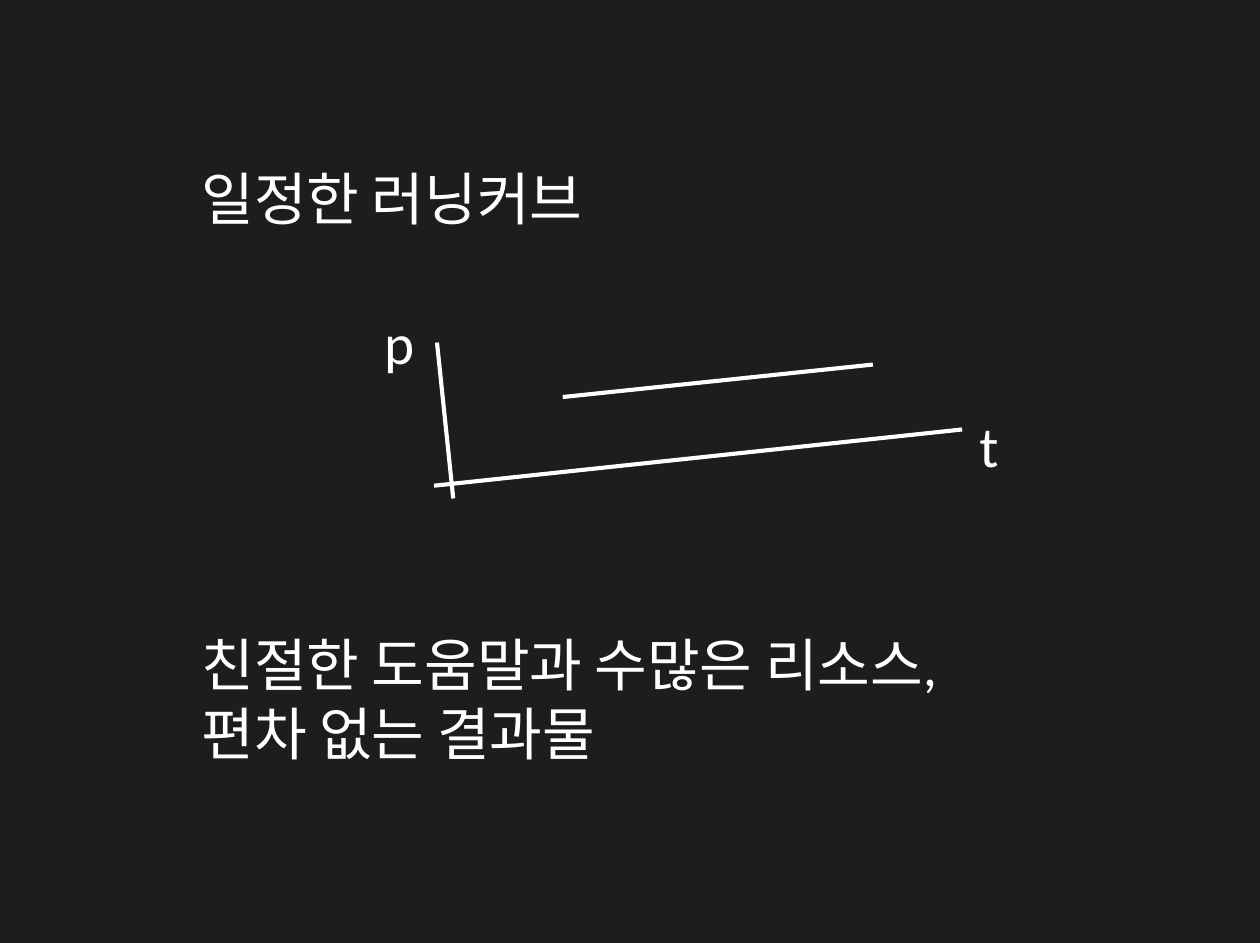
import pptx
import pptx.dml.color
import pptx.enum.shapes
import pptx.enum.text
import pptx.oxml.ns
import pptx.util
import lxml.etree

Cm = pptx.util.Cm
WIDTH, HEIGHT = 21.74, 16.27
INK, PAPER = "FFFFFF", "1C1D1F"
FONT = "Calibri"


def color(value):
    return pptx.dml.color.RGBColor.from_string(value)


def add_background(s, x, y, w, h):
    sp = s.shapes.add_shape(pptx.enum.shapes.MSO_SHAPE.RECTANGLE, Cm(x), Cm(y), Cm(w), Cm(h))
    sp.shadow.inherit = False
    sp.fill.solid()
    sp.fill.fore_color.rgb = color(PAPER)
    sp.line.fill.background()


def add_text(s, x, y, w, h, text):
    tf = s.shapes.add_textbox(Cm(x), Cm(y), Cm(w), Cm(h)).text_frame
    tf.word_wrap = True
    tf.vertical_anchor = pptx.enum.text.MSO_ANCHOR.MIDDLE
    tf.text = text
    for p in tf.paragraphs:
        for r in p.runs:
            r.font.name = FONT
            r.font.size = pptx.util.Pt(28)
            r.font.color.rgb = color(INK)
            east_asian = lxml.etree.SubElement(r._r.get_or_add_rPr(), pptx.oxml.ns.qn("a:ea"))
            east_asian.set("typeface", FONT)


def add_line(s, x1, y1, x2, y2):
    line = s.shapes.add_connector(
        pptx.enum.shapes.MSO_CONNECTOR.STRAIGHT, Cm(x1), Cm(y1), Cm(x2), Cm(y2))
    line.line.color.rgb = color(INK)
    line.line.width = pptx.util.Pt(2)
    lxml.etree.SubElement(line._element.spPr, pptx.oxml.ns.qn("a:effectLst"))


def add_learning_curve(s, x, y):
    curve = (3.33, 2.28, 8.68, 1.72)
    time_axis = (1.11, 3.81, 10.22, 2.84)
    progress_axis = (1.16, 1.34, 1.44, 4.03)
    for x1, y1, x2, y2 in (curve, time_axis, progress_axis):
        add_line(s, x + x1, y + y1, x + x2, y + y2)
    for label, dx, dy in (("t", 10.27, 1.78), ("p", 0, 0.01)):
        add_text(s, x + dx, y + dy, 1.85, 2.64, label)


def main():
    prs = pptx.Presentation()
    prs.slide_width, prs.slide_height = Cm(WIDTH), Cm(HEIGHT)
    s = prs.slides.add_slide(prs.slide_layouts[6])
    add_background(s, 0, 0, WIDTH, HEIGHT)
    add_text(s, 3.23, 2.9, 8.69, 1.02, "일정한 러닝커브")
    add_text(s, 3.23, 10.72, 14.73, 2.64, "친절한 도움말과 수많은 리소스,\n편차 없는 결과물")
    add_learning_curve(s, 6.38, 4.57)
    prs.save("out.pptx")


if __name__ == "__main__":
    main()
